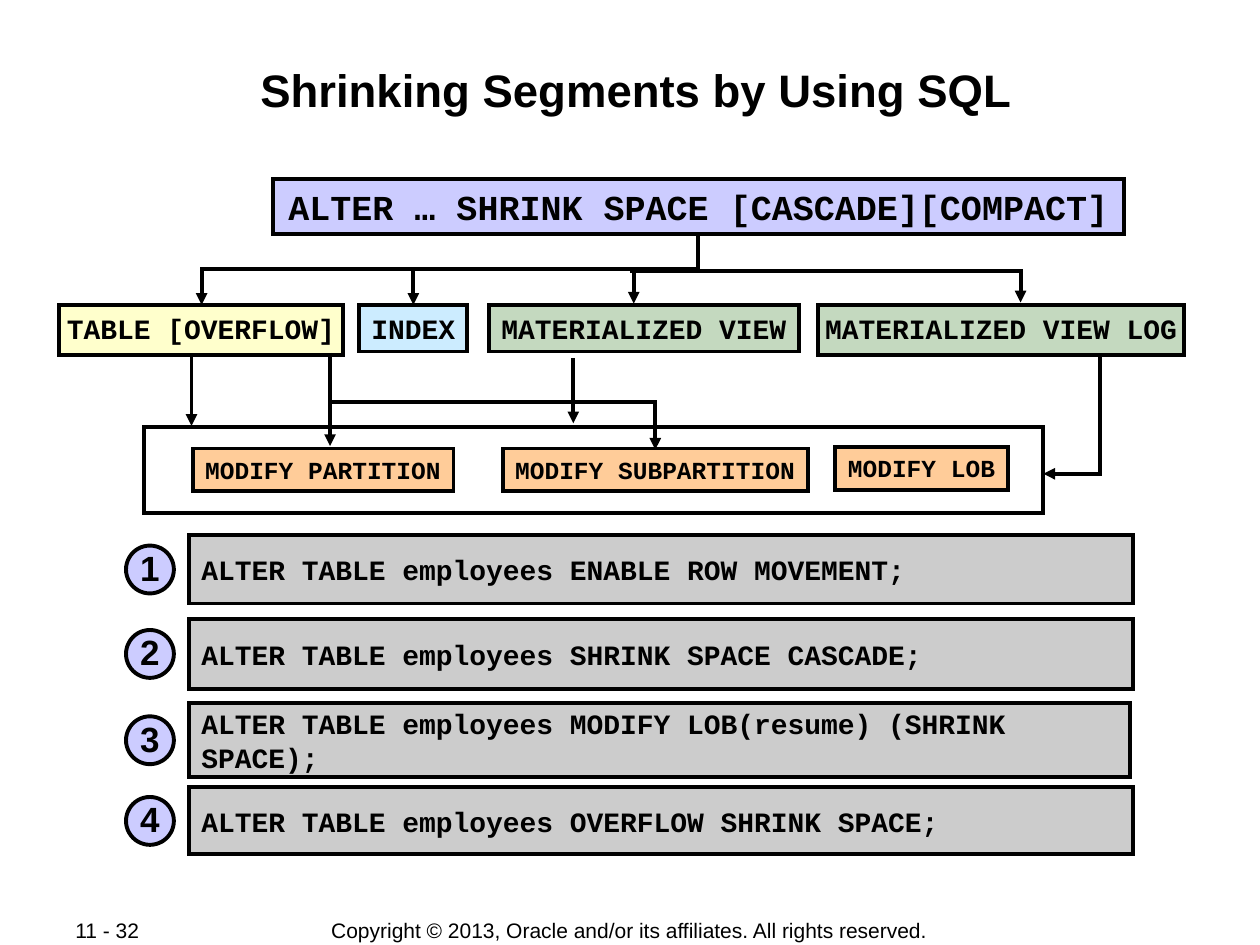
from typing import Any, NamedTuple

from lxml import etree
from pptx import Presentation
from pptx.dml.color import RGBColor
from pptx.enum.shapes import MSO_CONNECTOR, MSO_SHAPE
from pptx.enum.text import MSO_ANCHOR, PP_ALIGN
from pptx.oxml.ns import qn
from pptx.util import Inches, Pt

STRAIGHT, ELBOW = MSO_CONNECTOR.STRAIGHT, MSO_CONNECTOR.ELBOW
RECTANGLE, OVAL = MSO_SHAPE.RECTANGLE, MSO_SHAPE.OVAL
TOP, MIDDLE = MSO_ANCHOR.TOP, MSO_ANCHOR.MIDDLE
LEFT, CENTER, JUSTIFY = PP_ALIGN.LEFT, PP_ALIGN.CENTER, PP_ALIGN.JUSTIFY

COLORS = {
    "ink": "000000",
    "command": "CCCCFF",
    "table": "FFFFCC",
    "index": "CCECFF",
    "view": "C4D9BF",
    "modify": "FFCC99",
    "statement": "CCCCCC",
}
SANS, CODE = "Arial", "Courier New"
LINE_WIDTH = Pt(2.25)
BADGE_SIZE = 0.38


class Box(NamedTuple):
    label: str
    left: float
    top: float
    width: float
    height: float
    color: str
    size: int


class Statement(NamedTuple):
    code: str
    top: float
    height: float
    width: float = 7.49


class Route(NamedTuple):
    x1: float
    y1: float
    x2: float
    y2: float


BOXES = [
    Box("ALTER … SHRINK SPACE [CASCADE][COMPACT]", 2.17, 1.42, 6.75, 0.44, "command", 20),
    Box("TABLE [OVERFLOW]", 0.47, 2.42, 2.25, 0.4, "table", 16),
    Box("INDEX", 2.85, 2.42, 0.86, 0.37, "index", 16),
    Box("MATERIALIZED VIEW", 3.88, 2.42, 2.46, 0.37, "view", 16),
    Box("MATERIALIZED VIEW LOG", 6.49, 2.42, 2.91, 0.4, "view", 16),
    Box("MODIFY PARTITION", 1.53, 3.56, 2.07, 0.34, "modify", 14),
    Box("MODIFY SUBPARTITION", 3.99, 3.56, 2.42, 0.34, "modify", 14),
    Box("MODIFY LOB", 6.63, 3.55, 1.37, 0.34, "modify", 14),
]
STATEMENTS = [
    Statement("ALTER TABLE employees ENABLE ROW MOVEMENT;", 4.25, 0.54),
    Statement("ALTER TABLE employees SHRINK SPACE CASCADE;", 4.91, 0.56),
    Statement("ALTER TABLE employees MODIFY LOB(resume) (SHRINK SPACE);", 5.58, 0.59, 7.47),
    Statement("ALTER TABLE employees OVERFLOW SHRINK SPACE;", 6.25, 0.53),
]
STRAIGHT_ROUTES = [
    Route(2.62, 2.8, 2.62, 3.54),
    Route(4.55, 2.84, 4.55, 3.36),
    Route(1.52, 2.82, 1.52, 3.38),
    Route(5.03, 2.17, 5.03, 2.41),
]
STEPPED_ROUTES = [
    Route(5.54, 1.85, 1.6, 2.42),
    Route(5.54, 1.85, 3.28, 2.42),
    Route(2.62, 2.81, 5.2, 3.57),
]


def assign(target: Any, values: dict[str, Any]) -> None:
    for name, value in values.items():
        setattr(target, name, value)


def rgb(name: str) -> RGBColor:
    return RGBColor.from_string(COLORS[name])


def write(frame: Any, text: str, font: str, size: int, bold: bool = True,
          align: Any = CENTER, spacing: float = 1.0, anchor: Any = TOP,
          wrap: bool = False, margins: tuple = (0.1, 0.05, 0.1, 0.05)) -> None:
    left, top, right, bottom = map(Inches, margins)
    assign(frame, {
        "word_wrap": wrap, "vertical_anchor": anchor,
        "margin_left": left, "margin_top": top,
        "margin_right": right, "margin_bottom": bottom,
    })
    paragraph = frame.paragraphs[0]
    assign(paragraph, {"text": text, "alignment": align,
                       "line_spacing": spacing, "space_before": Pt(0)})
    assign(paragraph.font, {"name": font, "size": Pt(size), "bold": bold})
    paragraph.font.color.rgb = rgb("ink")


def add_line_part(shape: Any, tag: str, **attributes: str) -> None:
    etree.SubElement(shape.line._get_or_add_ln(), qn(tag), **attributes)


def outline(shape: Any) -> None:
    """Draw the shape's line in ink with square corners."""
    shape.line.color.rgb = rgb("ink")
    shape.line.width = LINE_WIDTH
    add_line_part(shape, "a:miter", lim="800000")


def add_block(slide: Any, kind: Any, left: float, top: float, width: float,
              height: float, color: str | None = None) -> Any:
    """Add an outlined shape, unfilled when no colour is named."""
    block = slide.shapes.add_shape(kind, *map(Inches, (left, top, width, height)))
    block.shadow.inherit = False
    outline(block)
    if color:
        block.fill.solid()
        block.fill.fore_color.rgb = rgb(color)
    else:
        block.fill.background()
    return block


def add_arrowhead(shape: Any) -> None:
    add_line_part(shape, "a:tailEnd", type="triangle")


def add_arrow(slide: Any, kind: Any, route: Route) -> Any:
    arrow = slide.shapes.add_connector(kind, *map(Inches, route))
    outline(arrow)
    add_arrowhead(arrow)
    etree.SubElement(arrow._element.spPr, qn("a:effectLst"))
    return arrow


def add_stepped_arrow(slide: Any, route: Route) -> None:
    """Add an elbow that goes down, across and down, as a turned connector."""
    center_x, center_y = (route.x1 + route.x2) / 2, (route.y1 + route.y2) / 2
    half_drop, half_span = (route.y2 - route.y1) / 2, abs(route.x2 - route.x1) / 2
    side = 1 if route.x2 > route.x1 else -1
    turned = Route(center_x + side * half_drop, center_y - half_span,
                   center_x - side * half_drop, center_y + half_span)
    arrow = add_arrow(slide, ELBOW, turned)
    degrees = 270 if side > 0 else 90
    arrow._element.spPr.find(qn("a:xfrm")).set("rot", str(degrees * 60000))


def add_statement(slide: Any, number: int, statement: Statement) -> None:
    panel = add_block(slide, RECTANGLE, 1.5, statement.top, statement.width,
                      statement.height, "statement")
    write(panel.text_frame, statement.code, CODE, 16, align=LEFT, anchor=MIDDLE,
          wrap=True, margins=(0.1, 0.01, 0.1, 0.01))
    badge_top = statement.top + (statement.height - BADGE_SIZE) / 2
    badge = add_block(slide, OVAL, 1, badge_top, BADGE_SIZE, BADGE_SIZE, "command")
    write(badge.text_frame, str(number), SANS, 20, spacing=0.95, anchor=MIDDLE,
          margins=(0.05,) * 4)


def add_footer(slide: Any, text: str, left: float, width: float, align: Any) -> None:
    footer = slide.shapes.add_textbox(*map(Inches, (left, 7.28, width, 0.21)))
    write(footer.text_frame, text, SANS, 12, bold=False, align=align, anchor=MIDDLE)


def main() -> None:
    deck = Presentation()
    assign(deck, {"slide_width": Inches(10), "slide_height": Inches(7.5)})
    slide = deck.slides.add_slide(deck.slide_layouts[5])

    add_footer(slide, "Copyright © 2013, Oracle and/or its affiliates. All rights reserved.",
               2.4, 5.19, CENTER)
    add_footer(slide, "11 - 32", 0.5, 1.06, JUSTIFY)

    title = slide.shapes.title
    assign(title, {"left": Inches(0.67), "top": Inches(0.48),
                   "width": Inches(8.66), "height": Inches(0.96)})
    write(title.text_frame, "Shrinking Segments by Using SQL", SANS, 26, wrap=True,
          margins=(0.11, 0.01, 0.01, 0.01))

    for label, left, top, width, height, color, size in BOXES:
        box = add_block(slide, RECTANGLE, left, top, width, height, color)
        write(box.text_frame, label, CODE, size)
    add_block(slide, RECTANGLE, 1.14, 3.39, 7.14, 0.68)

    for route in STEPPED_ROUTES:
        add_stepped_arrow(slide, route)
    for route in STRAIGHT_ROUTES:
        add_arrow(slide, STRAIGHT, route)
    to_view_log = add_arrow(slide, ELBOW, Route(5, 2.15, 8.1, 2.4))
    to_view_log._element.spPr.find(qn("a:prstGeom")).set("prst", "bentConnector2")

    for number, statement in enumerate(STATEMENTS, start=1):
        add_statement(slide, number, statement)

    log_path = slide.shapes.build_freeform(Inches(8.73), Inches(2.81))
    log_path.add_line_segments(
        [(Inches(8.73), Inches(3.76)), (Inches(8.28), Inches(3.76))], close=False)
    log_arrow = log_path.convert_to_shape()
    log_arrow.shadow.inherit = False
    log_arrow.fill.background()
    outline(log_arrow)
    add_arrowhead(log_arrow)

    deck.save("out.pptx")


if __name__ == "__main__":
    main()
